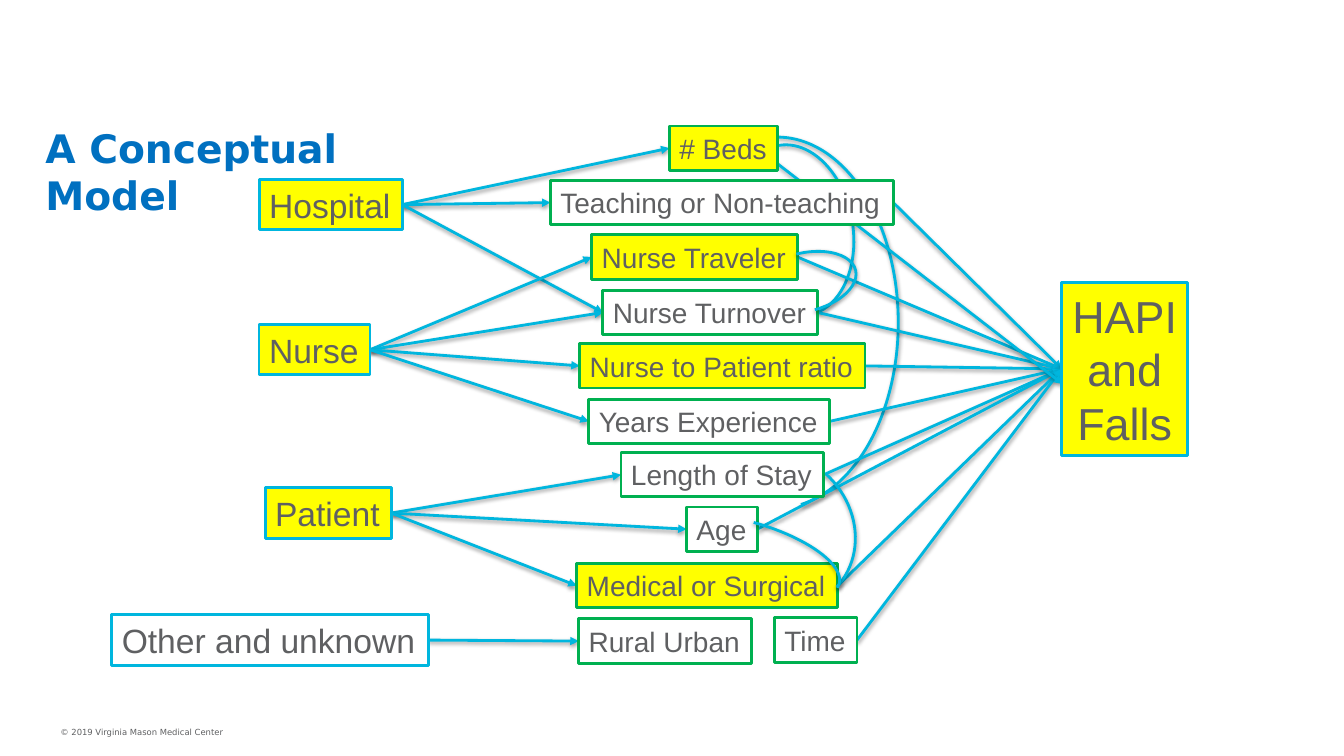
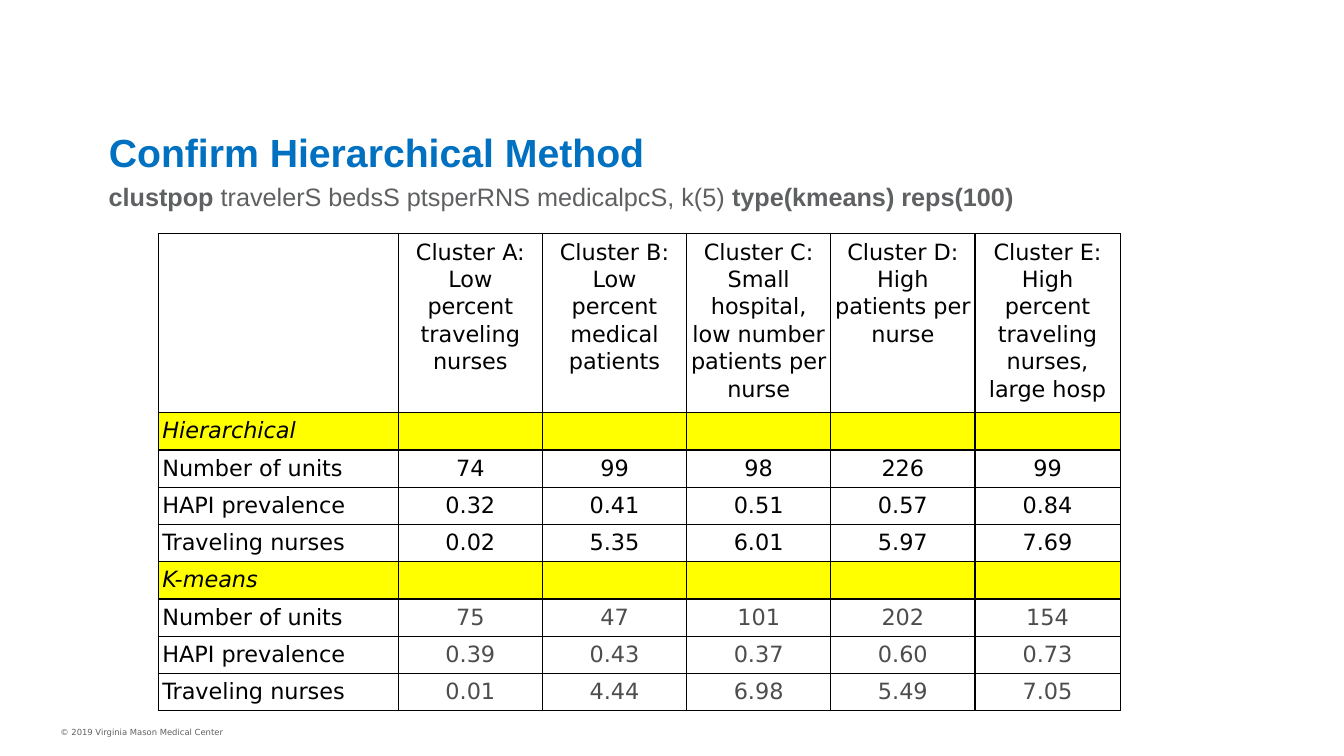
import dataclasses

import lxml.etree
import pptx
import pptx.dml.color
import pptx.enum.shapes
import pptx.enum.text
import pptx.oxml
import pptx.oxml.ns
import pptx.util

Inches = pptx.util.Inches
ALIGN = pptx.enum.text.PP_ALIGN
ANCHOR = pptx.enum.text.MSO_ANCHOR
SHAPE = pptx.enum.shapes.MSO_SHAPE
LEFT_SIDE, RIGHT_SIDE = 1, 3


@dataclasses.dataclass(frozen=True)
class Theme:
    title: str = "0070C0"
    text: str = "5F6062"
    black: str = "000000"
    muted: str = "4D4D4D"
    white: str = "FFFFFF"
    highlight: str = "FFFF00"
    cyan: str = "00B6DE"
    green: str = "00B050"
    sans: str = "Arial"
    wide: str = "DejaVu Sans"
    title_size: float = 28
    outcome_size: float = 32
    source_size: float = 24
    factor_size: float = 20
    command_size: float = 18
    table_size: float = 16
    footer_size: float = 6
    line_width: float = 2


THEME = Theme()

SOURCES = {
    "Hospital": (2.57, 1.78, 1.42, True),
    "Nurse": (2.57, 3.22, 1.1, True),
    "Patient": (2.63, 4.84, 1.25, True),
    "Other and unknown": (1.11, 6.1, 3.14, False),
}
FACTORS = {
    "# Beds": (6.64, 1.25, 1.07, True),
    "Teaching or Non-teaching": (5.46, 1.79, 3.4, False),
    "Nurse Traveler": (5.87, 2.33, 2.04, True),
    "Nurse Turnover": (5.98, 2.88, 2.13, False),
    "Nurse to Patient ratio": (5.75, 3.41, 2.83, True),
    "Years Experience": (5.84, 3.96, 2.39, False),
    "Length of Stay": (6.16, 4.49, 2.01, False),
    "Age": (6.81, 5.03, 0.7, False),
    "Medical or Surgical": (5.72, 5.59, 2.59, True),
    "Rural Urban": (5.74, 6.14, 1.71, False),
    "Time": (7.68, 6.13, 0.82, False),
}
OUTCOME = "HAPI\nand\nFalls"
INFLUENCES = {
    "Hospital": ["# Beds", "Teaching or Non-teaching", "Nurse Turnover"],
    "Nurse": ["Nurse Traveler", "Nurse Turnover", "Nurse to Patient ratio", "Years Experience"],
    "Patient": ["Length of Stay", "Age", "Medical or Surgical"],
    "Other and unknown": ["Rural Urban"],
}
DIRECT_FACTORS = [name for name in FACTORS if name not in ("# Beds", "Rural Urban")]
BACK_ARCS = [
    ((6.51, 1.36, 2.4, 3.68), 0, (162, 49.55)),
    ((7.28, 1.43, 1.18, 1.71), 350.2, (162, 49.55)),
]
FRONT_ARCS = [
    ((7.46, 2.51, 1.04, 0.58), 346.9, (160.16, 49.55)),
    ((6.86, 4.51, 1.66, 1.5), 42.7, (162, 0)),
    ((6.4, 5.17, 1.96, 0.72), 15.5, (162, 1.54)),
]

CLUSTERS = [
    "",
    "Cluster A: Low percent traveling nurses",
    "Cluster B: Low percent medical patients",
    "Cluster C: Small hospital, low number patients per nurse",
    "Cluster D: High patients per nurse",
    "Cluster E: High percent traveling nurses, large hosp",
]
METHODS = [
    ("Hierarchical", THEME.black, [
        ("Number of units", "74", "99", "98", "226", "99"),
        ("HAPI prevalence", "0.32", "0.41", "0.51", "0.57", "0.84"),
        ("Traveling nurses", "0.02", "5.35", "6.01", "5.97", "7.69"),
    ]),
    ("K-means", THEME.muted, [
        ("Number of units", "75", "47", "101", "202", "154"),
        ("HAPI prevalence", "0.39", "0.43", "0.37", "0.60", "0.73"),
        ("Traveling nurses", "0.01", "4.44", "6.98", "5.49", "7.05"),
    ]),
]


def color(value):
    return pptx.dml.color.RGBColor.from_string(value)


def write_text(text_frame, content, size, font=THEME.sans, fill=THEME.text, bold=False,
               italic=False, align=ALIGN.LEFT, wrap=True, anchor=ANCHOR.TOP, spacing=None):
    text_frame.word_wrap = wrap
    text_frame.vertical_anchor = anchor
    lines = content.split("\n") if isinstance(content, str) else [content]
    for index, line in enumerate(lines):
        paragraph = text_frame.add_paragraph() if index else text_frame.paragraphs[0]
        paragraph.alignment = align
        if spacing:
            paragraph.line_spacing = spacing
        for text, run_bold in [(line, bold)] if isinstance(line, str) else line:
            run = paragraph.add_run()
            run.text = text
            run.font.name = font
            run.font.size = pptx.util.Pt(size)
            run.font.bold = run_bold
            run.font.italic = italic
            run.font.color.rgb = color(fill)


def style_line(shape, value=THEME.cyan):
    shape.line.color.rgb = color(value)
    shape.line.width = pptx.util.Pt(THEME.line_width)


def add_soft_shadow(shape):
    namespace = pptx.oxml.ns.nsdecls("a")
    shape.element.spPr.append(pptx.oxml.parse_xml(
        f'<a:effectLst {namespace}><a:outerShdw blurRad="{pptx.util.Pt(3.1)}" '
        f'dist="{pptx.util.Pt(1.6)}" dir="5400000" rotWithShape="0">'
        f'<a:srgbClr val="{THEME.black}"><a:alpha val="38000"/></a:srgbClr>'
        '</a:outerShdw></a:effectLst>'))


def add_title_slide(presentation, title, box, font, wrap):
    slide = presentation.slides.add_slide(presentation.slide_layouts[5])
    shape = slide.shapes.title
    shape.left, shape.top, shape.width, shape.height = map(Inches, box)
    shape.text_frame.auto_size = pptx.enum.text.MSO_AUTO_SIZE.NONE
    write_text(shape.text_frame, title, THEME.title_size, font=font,
               fill=THEME.title, bold=True, wrap=wrap)
    add_text_box(slide, (0.5, 7.16, 4.75, 0.2), "© 2019 Virginia Mason Medical Center",
                 size=THEME.footer_size, font=THEME.wide)
    return slide


def add_text_box(slide, box, content, **text_format):
    shape = slide.shapes.add_textbox(*map(Inches, box))
    write_text(shape.text_frame, content, **text_format)


def add_node(slide, box, text, size, outline, highlighted, align=ALIGN.LEFT):
    shape = slide.shapes.add_shape(SHAPE.RECTANGLE, *map(Inches, box))
    shape.shadow.inherit = False
    shape.fill.solid()
    shape.fill.fore_color.rgb = color(THEME.highlight if highlighted else THEME.white)
    style_line(shape, outline)
    write_text(shape.text_frame, text, size, align=align, wrap=False, anchor=ANCHOR.MIDDLE)
    return shape


def add_arc(slide, box, rotation, angles):
    shape = slide.shapes.add_shape(SHAPE.ARC, *map(Inches, box))
    shape.rotation = rotation
    for index, angle in enumerate(angles):
        shape.adjustments[index] = angle
    shape.fill.background()
    style_line(shape)
    add_soft_shadow(shape)


def add_arrow(slide, start=(0, 0), end=(0, 0)):
    connector = slide.shapes.add_connector(
        pptx.enum.shapes.MSO_CONNECTOR.STRAIGHT, *map(Inches, start + end))
    style_line(connector)
    line = connector.line._get_or_add_ln()
    lxml.etree.SubElement(line, pptx.oxml.ns.qn("a:tailEnd"), type="triangle")
    add_soft_shadow(connector)
    return connector


def add_nodes(slide):
    nodes = {}
    for group, height, size, outline in [
        (SOURCES, 0.5, THEME.source_size, THEME.cyan),
        (FACTORS, 0.44, THEME.factor_size, THEME.green),
    ]:
        for name, (left, top, width, highlighted) in group.items():
            nodes[name] = add_node(slide, (left, top, width, height), name, size,
                                   outline, highlighted)
    nodes[OUTCOME] = add_node(slide, (10.53, 2.8, 1.25, 1.72), OUTCOME, THEME.outcome_size,
                              THEME.cyan, True, align=ALIGN.CENTER)
    return nodes


def build_model_slide(presentation):
    slide = add_title_slide(presentation, "A Conceptual Model", (0.35, 1.18, 4.55, 0.54),
                            THEME.wide, wrap=True)
    for arc in BACK_ARCS:
        add_arc(slide, *arc)
    links = [(source, factor) for source, factors in INFLUENCES.items() for factor in factors]
    links += [(factor, OUTCOME) for factor in DIRECT_FACTORS]
    arrows = [add_arrow(slide) for _ in links]
    add_arrow(slide, (7.68, 1.6), (10.54, 3.81))
    nodes = add_nodes(slide)
    for arrow, (start, end) in zip(arrows, links):
        arrow.begin_connect(nodes[start], RIGHT_SIDE)
        arrow.end_connect(nodes[end], LEFT_SIDE)
    for arc in FRONT_ARCS:
        add_arc(slide, *arc)


def set_borders(cell):
    properties = cell._tc.get_or_add_tcPr()
    namespace = pptx.oxml.ns.nsdecls("a")
    for index, side in enumerate("LRTB"):
        properties.insert(index, pptx.oxml.parse_xml(
            f'<a:ln{side} {namespace} w="{pptx.util.Pt(1)}"><a:solidFill>'
            f'<a:srgbClr val="{THEME.black}"/></a:solidFill></a:ln{side}>'))


def fill_row(cells, texts, value_color=THEME.black, background=THEME.white, italic=False):
    for index, (cell, text) in enumerate(zip(cells, texts)):
        cell.margin_left = cell.margin_right = Inches(0.04)
        cell.margin_top = cell.margin_bottom = Inches(0.04 if text else 0)
        cell.fill.solid()
        cell.fill.fore_color.rgb = color(background)
        set_borders(cell)
        if text:
            write_text(cell.text_frame, text, THEME.table_size, font=THEME.wide,
                       fill=value_color if index else THEME.black, italic=italic,
                       align=ALIGN.CENTER if index else ALIGN.LEFT, spacing=1.06)


def add_cluster_table(slide, left, top):
    widths = [2.38] + [1.43] * 4 + [1.44]
    heights = [1.77] + [0.37] * sum(1 + len(rows) for _, _, rows in METHODS)
    table = slide.shapes.add_table(len(heights), len(widths), Inches(left), Inches(top),
                                   Inches(sum(widths)), Inches(sum(heights))).table
    table.first_row = table.horz_banding = False
    for column, width in zip(table.columns, widths):
        column.width = Inches(width)
    for row, height in zip(table.rows, heights):
        row.height = Inches(height)
    table_rows = iter(table.rows)
    fill_row(next(table_rows).cells, CLUSTERS)
    for method, value_color, rows in METHODS:
        heading = [method] + [""] * (len(widths) - 1)
        fill_row(next(table_rows).cells, heading, background=THEME.highlight, italic=True)
        for values in rows:
            fill_row(next(table_rows).cells, values, value_color)


def build_cluster_slide(presentation):
    slide = add_title_slide(presentation, "Confirm Hierarchical Method",
                            (0.98, 1.22, 5.58, 0.57), THEME.sans, wrap=False)
    command = [
        ("clustpop ", True),
        ("travelerS bedsS ptsperRNS medicalpcS, k(5) ", False),
        ("type(kmeans) reps(100)", True),
    ]
    add_text_box(slide, (0.98, 1.75, 11.3, 0.4), command, size=THEME.command_size)
    add_cluster_table(slide, 1.57, 2.32)


def main():
    presentation = pptx.Presentation()
    presentation.slide_width = Inches(13.33)
    presentation.slide_height = Inches(7.5)
    build_model_slide(presentation)
    build_cluster_slide(presentation)
    presentation.save("out.pptx")


if __name__ == "__main__":
    main()
